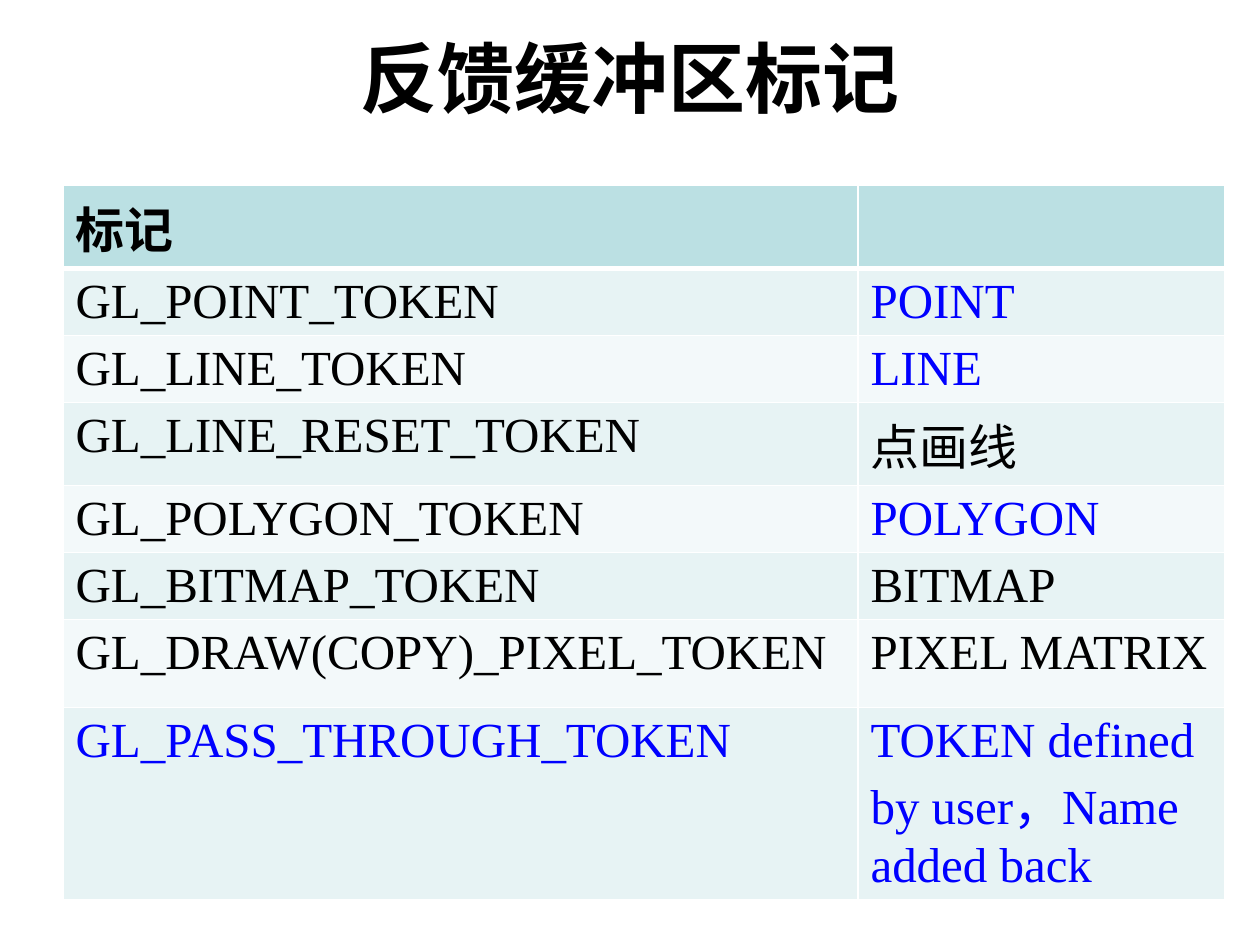
from lxml import etree
from pptx import Presentation
from pptx.dml.color import RGBColor
from pptx.enum.text import MSO_ANCHOR, MSO_AUTO_SIZE, PP_ALIGN
from pptx.oxml.ns import qn
from pptx.util import Pt

TOP = MSO_ANCHOR.TOP
CENTER = PP_ALIGN.CENTER
NO_FIT = MSO_AUTO_SIZE.NONE

BLACK = RGBColor(0x00, 0x00, 0x00)
BLUE = RGBColor(0x00, 0x00, 0xFF)
WHITE = RGBColor(0xFF, 0xFF, 0xFF)
HEAD = RGBColor(0xBB, 0xE0, 0xE3)
BANDS = (RGBColor(0xF3, 0xF9, 0xFA), RGBColor(0xE7, 0xF3, 0xF4))

SERIF = "Times New Roman"
SANS = "Noto Sans CJK SC"

WIDTHS = (454.3, 209.5)
HEIGHTS = (29.5,) * 6 + (50.4, 72)
ROWS = (
    (("标记", BLACK), ("", BLACK)),
    (("GL_POINT_TOKEN", BLACK), ("POINT", BLUE)),
    (("GL_LINE_TOKEN", BLACK), ("LINE", BLUE)),
    (("GL_LINE_RESET_TOKEN", BLACK), ("点画线", BLACK)),
    (("GL_POLYGON_TOKEN", BLACK), ("POLYGON", BLUE)),
    (("GL_BITMAP_TOKEN", BLACK), ("BITMAP", BLACK)),
    (("GL_DRAW(COPY)_PIXEL_TOKEN", BLACK), ("PIXEL MATRIX", BLACK)),
    (("GL_PASS_THROUGH_TOKEN", BLUE),
     ("TOKEN defined by user，Name added back", BLUE)),
)


def style(para, face, size, color, bold):
    """Set the font of a paragraph, with the sans face for Chinese."""
    font = para.font
    font.name, font.size, font.bold = face, Pt(size), bold
    font.color.rgb = color
    props = para._p.pPr.find(qn("a:defRPr"))
    east = etree.Element(qn("a:ea"), typeface=SANS)
    props.find(qn("a:latin")).addnext(east)


def add_title(slide, text):
    """Place and format the title."""
    title = slide.shapes.title
    title.left, title.top = Pt(36), Pt(21.6)
    title.width, title.height = Pt(648), Pt(90)
    frame = title.text_frame
    frame.text = text
    frame.auto_size = NO_FIT
    frame.vertical_anchor = TOP
    frame.margin_top = 0
    para = frame.paragraphs[0]
    para.alignment = CENTER
    para.line_spacing = 0.95
    style(para, SANS, 44, BLACK, True)


def add_edge(cell, side, width):
    """Draw one white border of a cell, ahead of its fill."""
    props = cell._tc.get_or_add_tcPr()
    line = etree.Element(qn("a:" + side), w=str(Pt(width)))
    fill = etree.SubElement(line, qn("a:solidFill"))
    etree.SubElement(fill, qn("a:srgbClr"), val=str(WHITE))
    fills = props.find(qn("a:solidFill"))
    fills.addprevious(line)


def fill_cell(cell, text, color, row):
    """Write and format one cell of the given row."""
    cell.text = text
    cell.vertical_anchor = TOP
    cell.fill.solid()
    cell.fill.fore_color.rgb = BANDS[row % 2] if row else HEAD
    for side in ("lnL", "lnR", "lnT", "lnB"):
        thick = (row, side) in ((0, "lnB"), (1, "lnT"))
        add_edge(cell, side, 3 if thick else 1)
    if text:
        style(cell.text_frame.paragraphs[0], SERIF, 28, color, row == 0)


def add_grid(slide):
    """Add the table of feedback tokens."""
    frame = slide.shapes.add_table(
        len(ROWS), len(WIDTHS), Pt(36), Pt(105.8),
        Pt(sum(WIDTHS)), Pt(sum(HEIGHTS)))
    table = frame.table
    table.first_row = False
    for col, width in zip(table.columns, WIDTHS):
        col.width = Pt(width)
    for row, height in zip(table.rows, HEIGHTS):
        row.height = Pt(height)
    for i, line in enumerate(ROWS):
        for j, (text, color) in enumerate(line):
            fill_cell(table.cell(i, j), text, color, i)


def main():
    """Build the slide and save it."""
    deck = Presentation()
    deck.slide_width, deck.slide_height = Pt(720), Pt(540)
    slide = deck.slides.add_slide(deck.slide_layouts[5])
    add_title(slide, "反馈缓冲区标记")
    add_grid(slide)
    deck.save("out.pptx")


if __name__ == "__main__":
    main()
